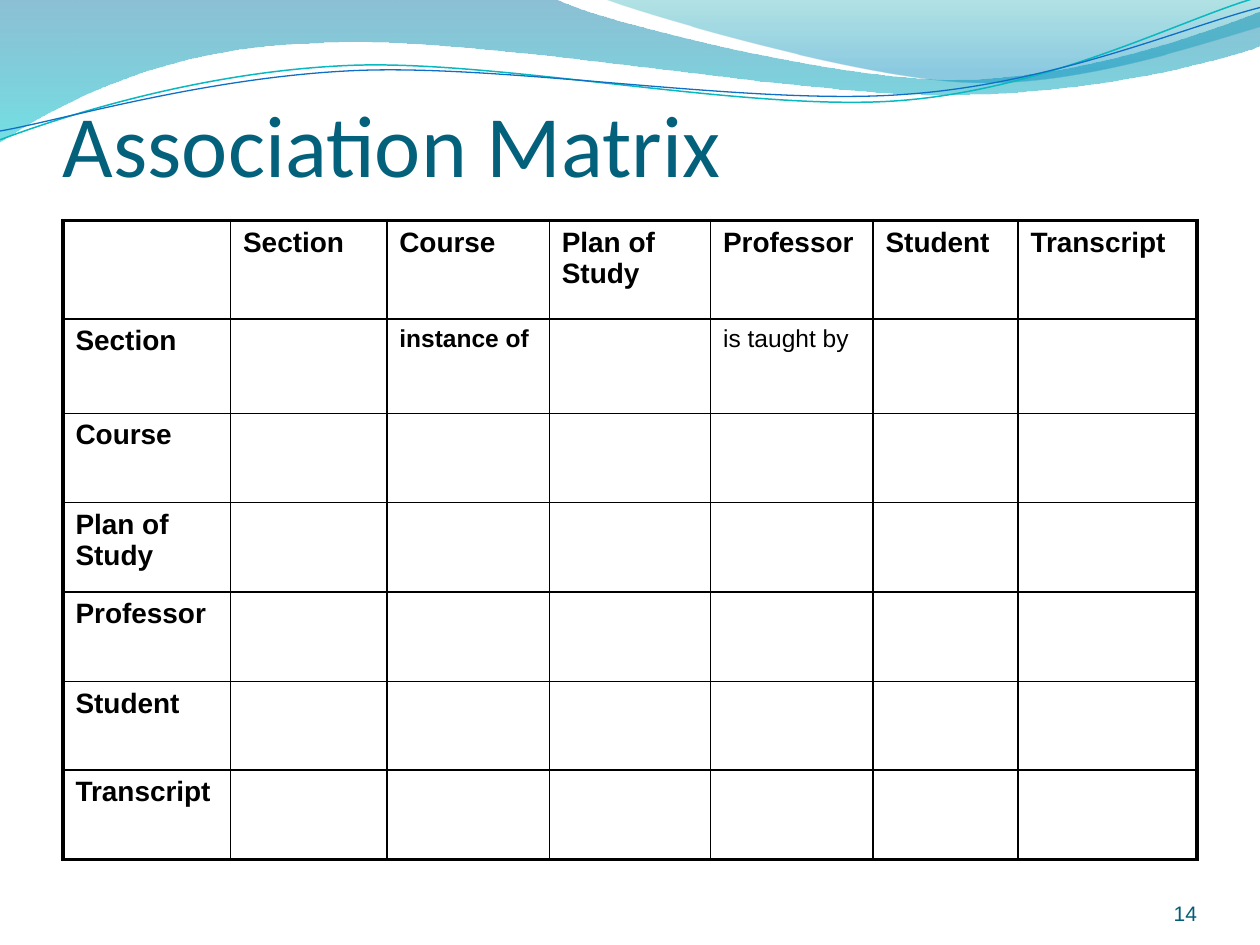
from lxml.etree import SubElement
from pptx import Presentation
from pptx.dml.color import RGBColor
from pptx.enum.text import MSO_ANCHOR, PP_ALIGN
from pptx.oxml.ns import qn
from pptx.util import Inches, Pt

TITLE = "Association Matrix"
PAGE_NUMBER = "14"
CLASSES = ["Section", "Course", "Plan of Study", "Professor", "Student", "Transcript"]
# (row class, column class): (wording, bold)
ASSOCIATIONS = {
    ("Section", "Course"): ("instance of", True),
    ("Section", "Professor"): ("is taught by", False),
}
COLUMN_WIDTHS = [1.33, 1.24, 1.29, 1.28, 1.29, 1.15, 1.42]
ROW_HEIGHTS = [0.78, 0.75, 0.71, 0.71, 0.71, 0.7, 0.71]

# Outlines: a two-value step is a corner, a six-value step is a Bezier curve
WAVES = [
    ([(0, 0), (4.4, -0.01), (4.76, 0.17, 6.64, 0.63, 7.58, 0.63),
      (8.53, 0.63, 9.58, 0.26, 10, 0.09), (10.01, 0.36),
      (9.83, 0.44, 8.7, 0.76, 7.46, 0.75), (6.22, 0.75, 3.82, 0.28, 2.57, 0.34),
      (1.29, 0.36, 0.46, 0.83, -0.01, 1.13), (0, 0)],
     [(0, "0074A1", 45), (1, "00C6CF", 55)]),
    ([(4.79, -0.01), (5.09, 0.11, 6.82, 0.62, 7.69, 0.65),
      (8.56, 0.69, 9.61, 0.32, 10, 0.21), (10, 0), (4.79, -0.01)],
     [(0, "00A1A9", 30), (0.8, "008BBF", 45)]),
]
STRANDS = [
    ([(0, 1.11), (0.48, 0.93, 1.58, 0.57, 2.77, 0.52),
      (3.95, 0.47, 5.93, 0.89, 7.13, 0.8), (8.33, 0.71, 9.38, 0.15, 9.98, -0.02)],
     "0AB8BF", 0.85),
    ([(0, 1.04), (0.47, 0.96, 1.64, 0.61, 2.83, 0.56),
      (4.03, 0.51, 5.97, 0.84, 7.17, 0.75), (8.36, 0.67, 9.41, 0.21, 10, 0.06)],
     "0F6FC6", 0.75),
]


def rgb(value):
    return RGBColor.from_string(value)


def add_outline(slide, steps, close):
    """Lay all points as lines, then join each curve's three points into one Bezier."""
    points = [(Inches(step[i]), Inches(step[i + 1]))
              for step in steps for i in range(0, len(step), 2)]
    builder = slide.shapes.build_freeform(*points[0])
    builder.add_line_segments(points[1:], close=close)
    outline = builder.convert_to_shape()
    outline.shadow.inherit = False

    segments = iter(list(outline._element.spPr.iter(qn("a:lnTo"))))
    for step in steps[1:]:
        segment = next(segments)
        if len(step) == 6:
            segment.tag = qn("a:cubicBezTo")
            for _ in range(2):
                extra = next(segments)
                segment.append(extra[0])
                extra.getparent().remove(extra)
    return outline


def add_wave(slide, steps, stops):
    wave = add_outline(slide, steps, close=True)
    wave.line.fill.background()
    wave.fill.gradient()
    wave.fill.gradient_angle = 270
    for stop, (position, color, _) in zip(wave.fill.gradient_stops, stops):
        stop.position = position
        stop.color.rgb = rgb(color)
    colors = wave._element.spPr.iter(qn("a:srgbClr"))
    for color, (_, _, opacity) in zip(colors, stops):
        SubElement(color, qn("a:alpha"), val=str(opacity * 1000))


def add_strand(slide, steps, color, width):
    strand = add_outline(slide, steps, close=False)
    strand.fill.background()
    strand.line.color.rgb = rgb(color)
    strand.line.width = Pt(width)


def style(paragraph, font, size, color, bold=False):
    for run in paragraph.runs:
        run.font.name = font
        run.font.size = Pt(size)
        run.font.color.rgb = rgb(color)
        run.font.bold = bold


def add_text(slide, text, box, margin_top, font, size, color, align):
    label = slide.shapes.add_textbox(*map(Inches, box)).text_frame
    label.word_wrap = True
    label.vertical_anchor = MSO_ANCHOR.BOTTOM
    label.margin_left = label.margin_right = label.margin_bottom = 0
    label.margin_top = Inches(margin_top)
    label.text = text
    label.paragraphs[0].alignment = align
    style(label.paragraphs[0], font, size, color)


def set_borders(cell, widths):
    properties = cell._tc.get_or_add_tcPr()
    for position, (side, width) in enumerate(widths.items()):
        border = SubElement(properties, qn(f"a:ln{side}"), w=str(Pt(width)))
        fill = SubElement(border, qn("a:solidFill"))
        SubElement(fill, qn("a:srgbClr"), val="000000")
        properties.insert(position, border)


def add_matrix(slide):
    labels = [""] + CLASSES
    last = len(labels) - 1
    matrix = slide.shapes.add_table(
        len(labels), len(labels), Inches(0.5), Inches(1.75),
        Inches(sum(COLUMN_WIDTHS)), Inches(sum(ROW_HEIGHTS))).table
    matrix.first_row = matrix.horz_banding = False
    for column, width in zip(matrix.columns, COLUMN_WIDTHS):
        column.width = Inches(width)
    for row, height in zip(matrix.rows, ROW_HEIGHTS):
        row.height = Inches(height)

    for r, row_class in enumerate(labels):
        for c, column_class in enumerate(labels):
            cell = matrix.cell(r, c)
            cell.fill.background()
            # Thick frame outside, thin rules inside
            edges = {"L": c == 0, "R": c == last, "T": r == 0, "B": r == last}
            set_borders(cell, {side: 2.25 if outer else 1 for side, outer in edges.items()})
            if r == 0 or c == 0:
                text, bold, size = row_class or column_class, True, 16
            else:
                text, bold = ASSOCIATIONS.get((row_class, column_class), ("", False))
                size = 14
            if text:
                cell.text_frame.text = text
                style(cell.text_frame.paragraphs[0], "Arial", size, "000000", bold)


def main():
    deck = Presentation()
    deck.slide_width, deck.slide_height = Inches(10), Inches(7.5)
    slide = deck.slides.add_slide(deck.slide_layouts[6])

    # Wave decoration
    for wave in WAVES:
        add_wave(slide, *wave)
    for strand in STRANDS:
        add_strand(slide, *strand)

    # Title, matrix and page number
    add_text(slide, TITLE, (0.5, 0.3, 9, 1.25), 0.05, "Calibri", 50, "04617B", PP_ALIGN.LEFT)
    add_matrix(slide)
    add_text(slide, PAGE_NUMBER, (8.67, 6.95, 0.83, 0.4), 0, "Arial", 12, "045D75",
             PP_ALIGN.RIGHT)
    deck.save("out.pptx")


if __name__ == "__main__":
    main()
